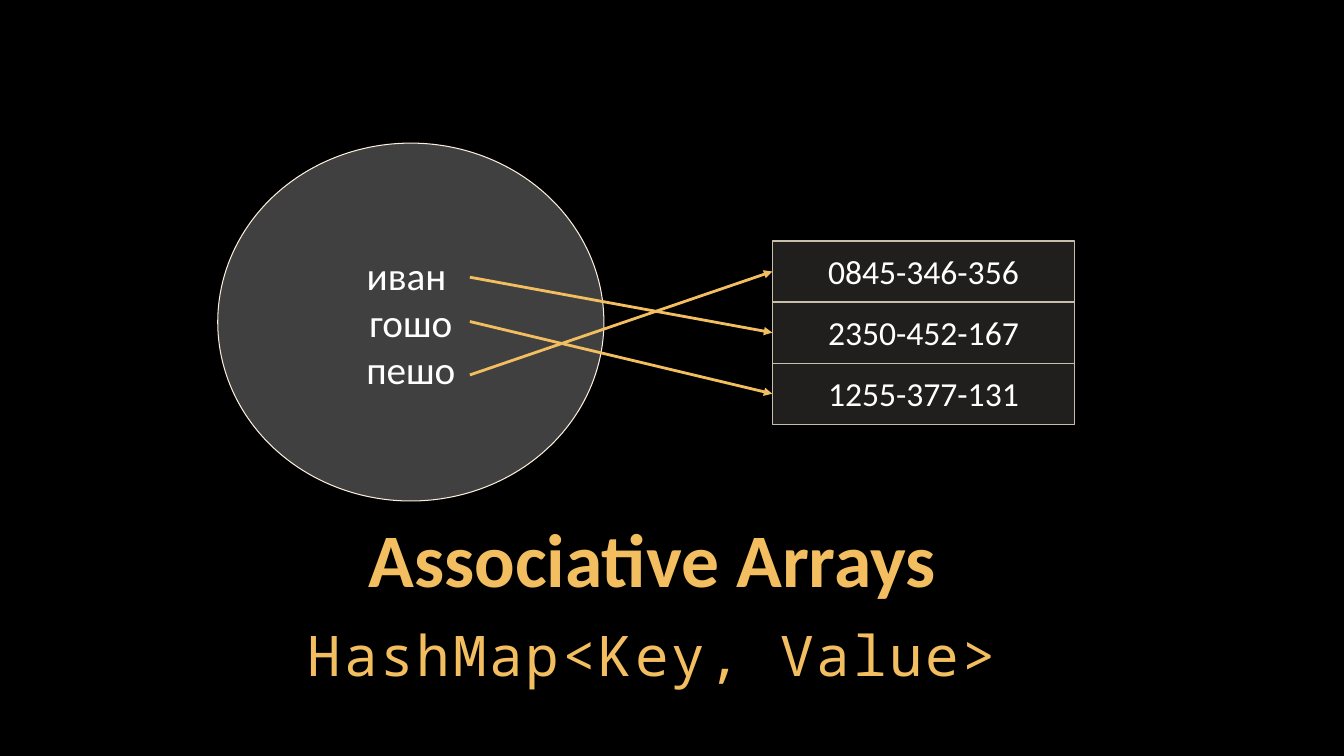
"""Build a slide that maps names to phone numbers as an associative array."""
from dataclasses import dataclass

from lxml.etree import SubElement as Sub
from pptx import Presentation
from pptx.dml.color import RGBColor as Rgb
from pptx.enum.shapes import MSO_CONNECTOR as Conn, MSO_SHAPE as Kind
from pptx.enum.text import MSO_ANCHOR as Anchor, MSO_AUTO_SIZE as Auto, PP_ALIGN as Align
from pptx.oxml.ns import qn
from pptx.shapes.autoshape import Shape
from pptx.slide import Slide
from pptx.util import Inches, Pt


@dataclass(frozen=True)
class Theme:
    """Colours, fonts and type sizes."""
    back: str = "000000"
    gold: str = "F3BE60"
    white: str = "FFFFFF"
    disc: str = "808080"
    rim: str = "FBEEDC"
    cell: str = "D9D5C7"
    edge: str = "C7BFAC"
    sans: str = "Calibri"
    mono: str = "Noto Sans Mono"
    head: int = 54
    code: int = 40
    key: int = 28
    value: int = 24


@dataclass(frozen=True)
class Box:
    """Place and size in inches."""
    left: float
    top: float
    width: float
    height: float


@dataclass(frozen=True)
class Link:
    """A height beside a key and the row of its value."""
    top: float
    row: int


THEME = Theme()
KEYS = ["иван ", "гошо", "пешо"]
VALUES = ["0845-346-356", "2350-452-167", "1255-377-131"]
LINKS = [Link(2.75, 1), Link(3.19, 2), Link(3.72, 0)]
STACK = Box(7.66, 2.39, 3, 1.82)
START = 4.66


def place(shape: Shape, box: Box) -> None:
    """Move and size a shape."""
    shape.left, shape.top = Inches(box.left), Inches(box.top)
    shape.width, shape.height = Inches(box.width), Inches(box.height)


def write(shape: Shape, lines: list[str], *, size: int, color: str = THEME.white,
          font: str = THEME.sans, bold: bool = False, anchor: Anchor = Anchor.TOP,
          inset: tuple[float, float] = (0.1, 0.05), space: float | Pt | None = None,
          after: int = 0, track: int = 0) -> None:
    """Fill a shape with centred lines."""
    frame = shape.text_frame
    frame.text = "\n".join(lines)
    frame.word_wrap, frame.auto_size = True, Auto.NONE
    frame.vertical_anchor = anchor
    frame.margin_left = frame.margin_right = Inches(inset[0])
    frame.margin_top = frame.margin_bottom = Inches(inset[1])
    for para in frame.paragraphs:
        para.alignment, para.line_spacing = Align.CENTER, space
        para.space_before, para.space_after = Pt(0), Pt(after)
        props = para._p.get_or_add_pPr()
        props.set("marL", "0")
        props.set("indent", "0")
        Sub(props, qn("a:buNone"))
        for run in para.runs:
            run.font.name, run.font.size, run.font.bold = font, Pt(size), bold
            run.font.color.rgb = Rgb.from_string(color)
            if track:
                run._r.get_or_add_rPr().set("spc", str(track * 100))


def panel(slide: Slide, kind: Kind, box: Box, fill: str, alpha: int,
          line: str, width: float) -> Shape:
    """Add a see-through outlined shape."""
    shape = slide.shapes.add_shape(kind, 0, 0, 0, 0)
    place(shape, box)
    shape.shadow.inherit = False
    shape.fill.solid()
    shape.fill.fore_color.rgb = Rgb.from_string(fill)
    tint = shape.fill._xPr.find(f".//{qn('a:srgbClr')}")
    Sub(tint, qn("a:alpha"), val=str(alpha * 1000))
    shape.line.color.rgb = Rgb.from_string(line)
    shape.line.width = Pt(width)
    return shape


def arrow(slide: Slide, top: float, cell: Shape) -> None:
    """Point from a key to the left side of a cell."""
    wire = slide.shapes.add_connector(Conn.STRAIGHT, Inches(START), Inches(top),
                                      cell.left, cell.top + cell.height // 2)
    wire.end_connect(cell, 1)
    wire.line.color.rgb = Rgb.from_string(THEME.gold)
    wire.line.width = Pt(2)
    Sub(wire.line._get_or_add_ln(), qn("a:tailEnd"), type="triangle")
    Sub(wire._element.spPr, qn("a:effectLst"))


def main() -> None:
    """Draw the slide and save it."""
    deck = Presentation()
    deck.slide_width, deck.slide_height = Inches(13.33), Inches(7.5)
    slide = deck.slides.add_slide(deck.slide_layouts[1])
    slide.background.fill.solid()
    slide.background.fill.fore_color.rgb = Rgb.from_string(THEME.back)

    title, body = slide.placeholders
    place(title, Box(1.58, 5.17, 9.78, 0.85))
    write(title, ["Associative Arrays"], size=THEME.head, color=THEME.gold, bold=True,
          anchor=Anchor.BOTTOM, inset=(0.04, 0.04), space=Pt(THEME.head))
    place(body, Box(1.58, 6.08, 9.78, 0.79))
    write(body, ["HashMap<Key, Value>"], size=THEME.code, color=THEME.gold,
          font=THEME.mono, inset=(0.04, 0.04), space=1.05, after=6, track=2)

    disc = panel(slide, Kind.OVAL, Box(2.16, 1.42, 3.83, 3.55),
                 THEME.disc, 50, THEME.rim, 0.75)
    write(disc, KEYS, size=THEME.key, anchor=Anchor.MIDDLE)

    step = STACK.height / len(VALUES)
    cells = []
    for row, value in enumerate(VALUES):
        box = Box(STACK.left, STACK.top + row * step, STACK.width, step)
        cell = panel(slide, Kind.RECTANGLE, box, THEME.cell, 15, THEME.edge, 1)
        write(cell, [value], size=THEME.value, inset=(0.2, 0.1))
        cells.append(cell)
    for link in LINKS:
        arrow(slide, link.top, cells[link.row])

    deck.save("out.pptx")


if __name__ == "__main__":
    main()
